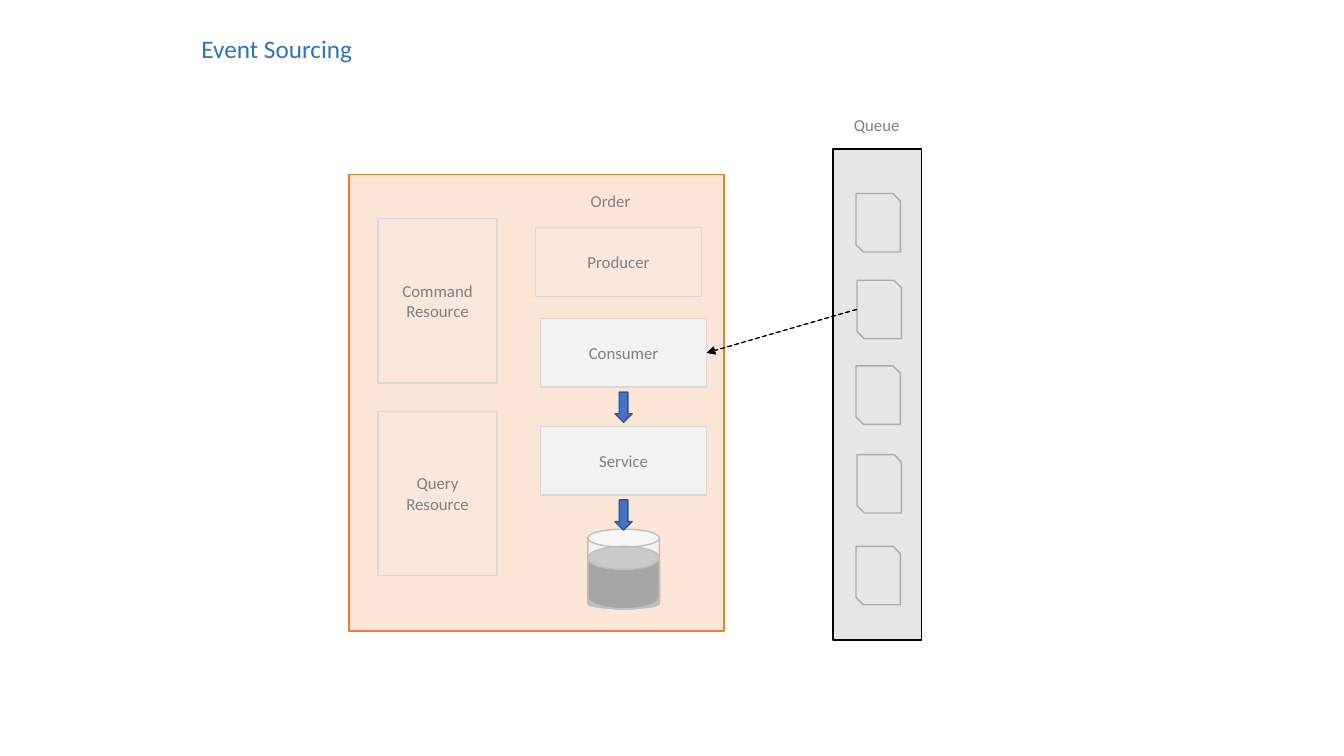
from lxml import etree
from pptx import Presentation
from pptx import util as u
from pptx.dml.color import RGBColor
from pptx.enum import dml, shapes, text
from pptx.oxml.ns import qn

COLORS = {
    "title": "2E75B6", "label": "808080", "black": "000000",
    "order": "FBE5D6", "order_line": "ED7D31",
    "topic": "E7E6E6", "event_line": "AFABAB",
    "box": "F2F2F2", "box_line": "D9D9D9",
    "arrow": "4472C4", "arrow_line": "325491",
    "data": "A6A6A6", "db_line": "BFBFBF",
}
SHAPE = shapes.MSO_SHAPE


def rgb(name):
    return RGBColor.from_string(COLORS[name])


def write(tf, content, size=12, color="label", align=text.PP_ALIGN.LEFT):
    """Put each line of content in its own paragraph."""
    for i, line in enumerate(content.split("\n")):
        p = tf.paragraphs[0] if i == 0 else tf.add_paragraph()
        p.alignment = align
        r = p.add_run()
        r.text = line
        r.font.name = "Calibri"
        r.font.size = u.Pt(size)
        r.font.color.rgb = rgb(color)


def add_label(slide, content, at, wrap=False, **fmt):
    tf = slide.shapes.add_textbox(*map(u.Inches, at)).text_frame
    tf.word_wrap = wrap
    tf.auto_size = text.MSO_AUTO_SIZE.SHAPE_TO_FIT_TEXT
    write(tf, content, **fmt)


def add_shape(slide, kind, at, fill, line, adj=None):
    sp = slide.shapes.add_shape(kind, *map(u.Inches, at))
    sp.shadow.inherit = False
    sp.fill.solid()
    sp.fill.fore_color.rgb = rgb(fill)
    sp.line.color.rgb = rgb(line)
    sp.line.width = u.Pt(1)
    if adj is not None:
        sp.adjustments[0] = adj
    return sp


def add_box(slide, content, at, faded=False):
    sp = add_shape(slide, SHAPE.RECTANGLE, at, "box", "box_line")
    if faded:
        clr = sp.fill._xPr.find(qn("a:solidFill"))[0]
        etree.SubElement(clr, qn("a:alpha"), val="19000")
    tf = sp.text_frame
    tf.word_wrap = True
    tf.vertical_anchor = text.MSO_ANCHOR.MIDDLE
    write(tf, content, align=text.PP_ALIGN.CENTER)


def add_dashed_arrow(slide, start, end):
    c = slide.shapes.add_connector(
        shapes.MSO_CONNECTOR.STRAIGHT, *map(u.Inches, start + end))
    c.line.color.rgb = rgb("black")
    c.line.width = u.Pt(0.75)
    c.line.dash_style = dml.MSO_LINE.DASH
    etree.SubElement(c.line._get_or_add_ln(), qn("a:tailEnd"), type="triangle")
    etree.SubElement(c._element.spPr, qn("a:effectLst"))


def add_database_level(slide, top, adj):
    bottom = 6.04
    add_shape(slide, SHAPE.CAN, (5.83, top, 0.71, bottom - top),
              "data", "db_line", adj)


def main():
    prs = Presentation()
    prs.slide_width, prs.slide_height = u.Inches(13.33), u.Inches(7.5)
    s = prs.slides.add_slide(prs.slide_layouts[6])

    add_label(s, "Event Sourcing", (1.9, 0.28, 2.31, 0.4), size=18, color="title")
    add_shape(s, SHAPE.RECTANGLE, (3.46, 1.73, 3.72, 4.53), "order", "order_line")
    add_shape(s, SHAPE.CAN, (5.83, 5.25, 0.71, 0.76), "box", "db_line")
    add_label(s, "Order", (5.76, 1.84, 0.71, 0.3), wrap=True)

    add_shape(s, SHAPE.RECTANGLE, (8.26, 1.48, 0.88, 4.87), "topic", "black")
    add_label(s, "Queue", (8.37, 1.09, 0.71, 0.3))
    for i, top in enumerate((1.92, 2.78, 3.63, 4.51, 5.42)):
        add_shape(s, SHAPE.SNIP_2_DIAG_RECTANGLE,
                  (8.49 + 0.01 * (i % 2), top, 0.44, 0.58), "topic", "event_line")

    add_box(s, "Producer", (5.31, 2.26, 1.65, 0.68), faded=True)
    for name, top in (("Consumer", 3.16), ("Service", 4.23)):
        add_box(s, name, (5.36, top, 1.65, 0.68))
        add_shape(s, SHAPE.DOWN_ARROW, (6.1, top + 0.73, 0.17, 0.3),
                  "arrow", "arrow_line")
    for name, top in (("Command", 2.17), ("Query", 4.08)):
        add_box(s, f"{name}\nResource", (3.75, top, 1.18, 1.63), faded=True)

    for start_x in (8.49, 8.5):
        add_dashed_arrow(s, (start_x, 3.07), (7.01, 3.5))
    for top, adj in ((5.83, 0.78), (5.72, 0.78), (5.55, 0.37), (5.42, 0.37)):
        add_database_level(s, top, adj)

    prs.save("out.pptx")


if __name__ == "__main__":
    main()
